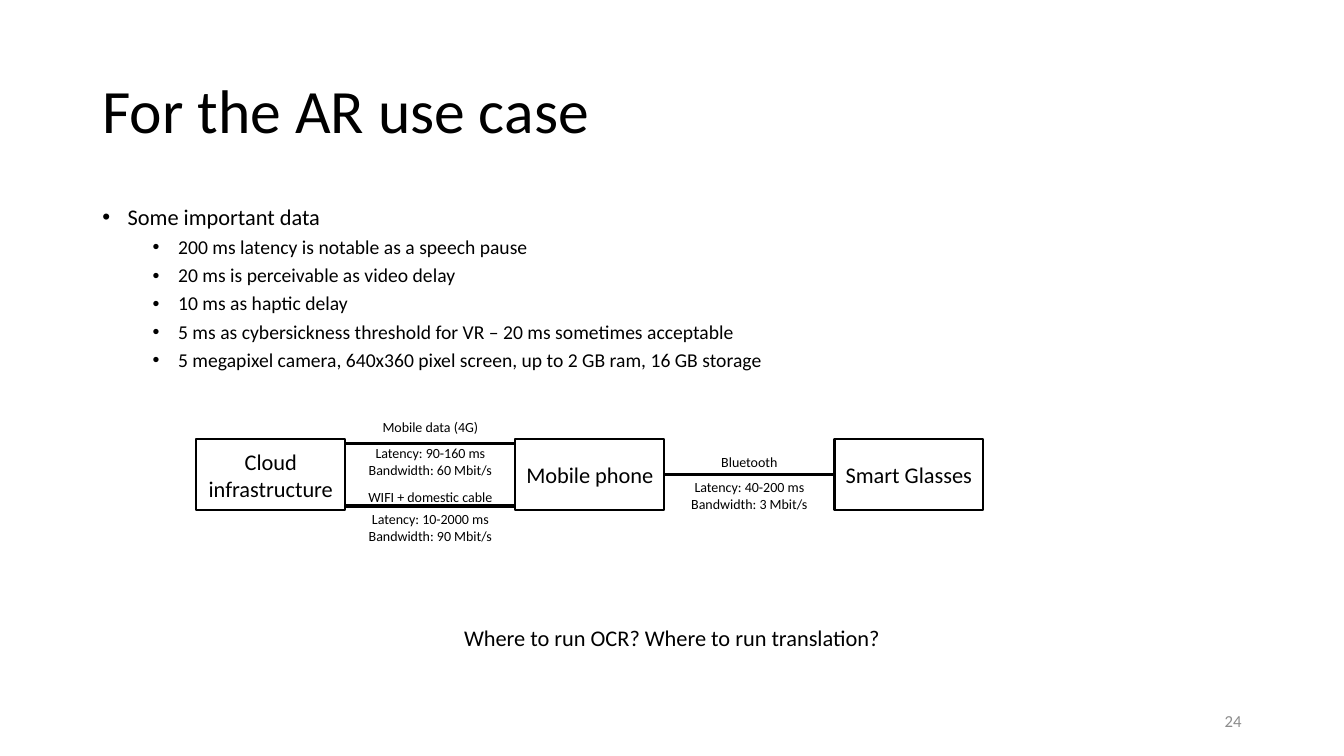
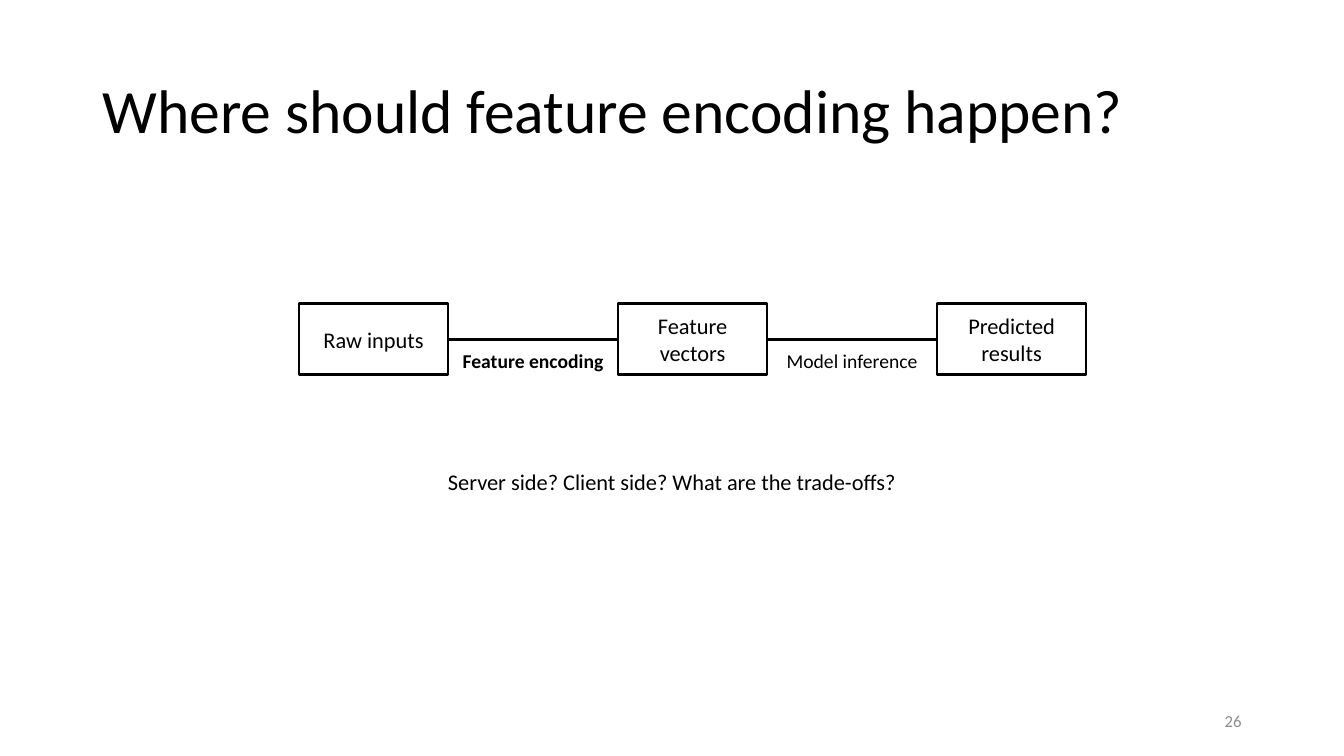
from lxml.etree import SubElement
from pptx import Presentation
from pptx.dml.color import RGBColor
from pptx.enum.shapes import MSO_CONNECTOR, MSO_SHAPE
from pptx.enum.text import MSO_ANCHOR, PP_ALIGN
from pptx.oxml.ns import qn
from pptx.util import Cm, Pt

BLACK = RGBColor(0x00, 0x00, 0x00)
GREY = RGBColor(0x8C, 0x8C, 0x8C)
FONT = "Calibri"

# Shared page measures, in centimetres
PAGE_WIDTH, PAGE_HEIGHT = 33.87, 19.05
MARGIN, CONTENT_WIDTH = 2.33, 29.21
NODE_WIDTH, NODE_HEIGHT, NODE_GAP = 3.75, 1.79, 4.29
MIDDLE = NODE_HEIGHT / 2
BULLET_INDENT = 0.64

# Paragraph formats
CENTRED = {"alignment": PP_ALIGN.CENTER}
RIGHT = {"alignment": PP_ALIGN.RIGHT}
TITLE = {"line_spacing": 0.9}
BULLETS = [  # size, left indent, paragraph format for each level
    (16, BULLET_INDENT, {"line_spacing": 0.9, "space_before": Pt(10)}),
    (14, 1.91, {"line_spacing": 0.9, "space_before": Pt(5)}),
]


class Slides:
    """Holds the deck, its style and the current page."""

    def __init__(self):
        self.deck = Presentation()
        self.deck.slide_width = Cm(PAGE_WIDTH)
        self.deck.slide_height = Cm(PAGE_HEIGHT)
        self.page = None

    def start(self, title, number):
        self.page = self.deck.slides.add_slide(self.deck.slide_layouts[6])
        middle = {"vertical_anchor": MSO_ANCHOR.MIDDLE}
        self.text([title], MARGIN, 1.01, CONTENT_WIDTH, 3.68, 44, TITLE, frame=middle)
        self.text([str(number)], 23.92, 17.66, 7.62, 1.01, 12, RIGHT, GREY, frame=middle)

    def add_words(self, para, words, size, layout, color=BLACK, bold=False):
        span = para.add_run()
        span.text = words
        for name, value in layout.items():
            setattr(para, name, value)
        for name, value in {"name": FONT, "size": Pt(size), "bold": bold}.items():
            setattr(span.font, name, value)
        span.font.color.rgb = color

    def fill_frame(self, frame, lines, size, layout, color=BLACK, bold=False):
        for index, words in enumerate(lines):
            para = frame.add_paragraph() if index else frame.paragraphs[0]
            self.add_words(para, words, size, layout, color, bold)

    def text(self, lines, left, top, width, height, size, layout,
             color=BLACK, bold=False, frame=None):
        box = self.page.shapes.add_textbox(Cm(left), Cm(top), Cm(width), Cm(height))
        for name, value in {"word_wrap": True, **(frame or {})}.items():
            setattr(box.text_frame, name, value)
        self.fill_frame(box.text_frame, lines, size, layout, color, bold)

    def bullets(self, items, top, height):
        box = self.page.shapes.add_textbox(
            Cm(MARGIN), Cm(top), Cm(CONTENT_WIDTH), Cm(height))
        box.text_frame.word_wrap = True
        for index, (level, words) in enumerate(items):
            para = box.text_frame.add_paragraph() if index else box.text_frame.paragraphs[0]
            size, indent, layout = BULLETS[level]
            self.add_words(para, words, size, {"level": level, **layout})
            # Bullet character and hanging indent
            properties = para._p.get_or_add_pPr()
            properties.set("marL", str(Cm(indent)))
            properties.set("indent", str(-Cm(BULLET_INDENT)))
            SubElement(properties, qn("a:buFont"), typeface="Arial")
            SubElement(properties, qn("a:buChar"), char="•")

    def node(self, lines, left, top):
        box = self.page.shapes.add_shape(
            MSO_SHAPE.RECTANGLE, Cm(left), Cm(top), Cm(NODE_WIDTH), Cm(NODE_HEIGHT))
        box.shadow.inherit = False
        box.fill.background()
        box.line.color.rgb = BLACK
        box.line.width = Pt(1.5)
        for name, value in {"word_wrap": False,
                            "vertical_anchor": MSO_ANCHOR.MIDDLE}.items():
            setattr(box.text_frame, name, value)
        self.fill_frame(box.text_frame, lines, 16, CENTRED)

    def link(self, left, top):
        line = self.page.shapes.add_connector(
            MSO_CONNECTOR.STRAIGHT, Cm(left), Cm(top), Cm(left + NODE_GAP), Cm(top))
        line.line.color.rgb = BLACK
        line.line.width = Pt(2.25)
        SubElement(line._element.spPr, qn("a:effectLst"))

    def chain(self, left, top, nodes, links, size):
        """Draw nodes in a row; each link is (gap, offset, labels)."""
        pitch = NODE_WIDTH + NODE_GAP
        for index, lines in enumerate(nodes):
            self.node(lines, left + index * pitch, top)
        for gap, offset, labels in links:
            start = left + gap * pitch + NODE_WIDTH
            self.link(start, top + offset)
            for shift, lines, bold in labels:
                self.text(lines, start, top + offset + shift, NODE_GAP,
                          0.27 + 0.42 * len(lines), size, CENTRED,
                          bold=bold, frame={"word_wrap": False})

    def question(self, words, top):
        self.text([words], 0, top, PAGE_WIDTH, 0.94, 16, CENTRED)


def main():
    slides = Slides()

    # Latency and bandwidth between devices
    slides.start("For the AR use case", 24)
    slides.bullets([
        (0, "Some important data"),
        (1, "200 ms latency is notable as a speech pause"),
        (1, "20 ms is perceivable as video delay"),
        (1, "10 ms as haptic delay"),
        (1, "5 ms as cybersickness threshold for VR – 20 ms sometimes acceptable"),
        (1, "5 megapixel camera, 640x360 pixel screen, up to 2 GB ram, 16 GB storage"),
    ], 5.08, 5.2)
    slides.chain(
        4.95, 11.07,
        [["Cloud", "infrastructure"], ["Mobile phone"], ["Smart Glasses"]],
        [
            (0, 0.1, [
                (-0.76, ["Mobile data (4G)"], False),
                (-0.1, ["Latency: 90-160 ms", "Bandwidth: 60 Mbit/s"], False)]),
            (0, 1.68, [
                (-0.56, ["WIFI + domestic cable"], False),
                (0, ["Latency: 10-2000 ms", "Bandwidth: 90 Mbit/s"], False)]),
            (1, MIDDLE, [
                (-0.66, ["Bluetooth"], False),
                (-0.04, ["Latency: 40-200 ms", "Bandwidth: 3 Mbit/s"], False)]),
        ], 10)
    slides.question("Where to run OCR? Where to run translation?", 15.6)

    # Steps from inputs to results
    slides.start("Where should feature encoding happen?", 26)
    slides.chain(
        7.54, 7.65,
        [["Raw inputs"], ["Feature", "vectors"], ["Predicted", "results"]],
        [
            (0, MIDDLE, [(0.12, ["Feature encoding"], True)]),
            (1, MIDDLE, [(0.12, ["Model inference"], False)]),
        ], 14)
    slides.question("Server side? Client side? What are the trade-offs?", 11.68)

    slides.deck.save("out.pptx")


if __name__ == "__main__":
    main()
